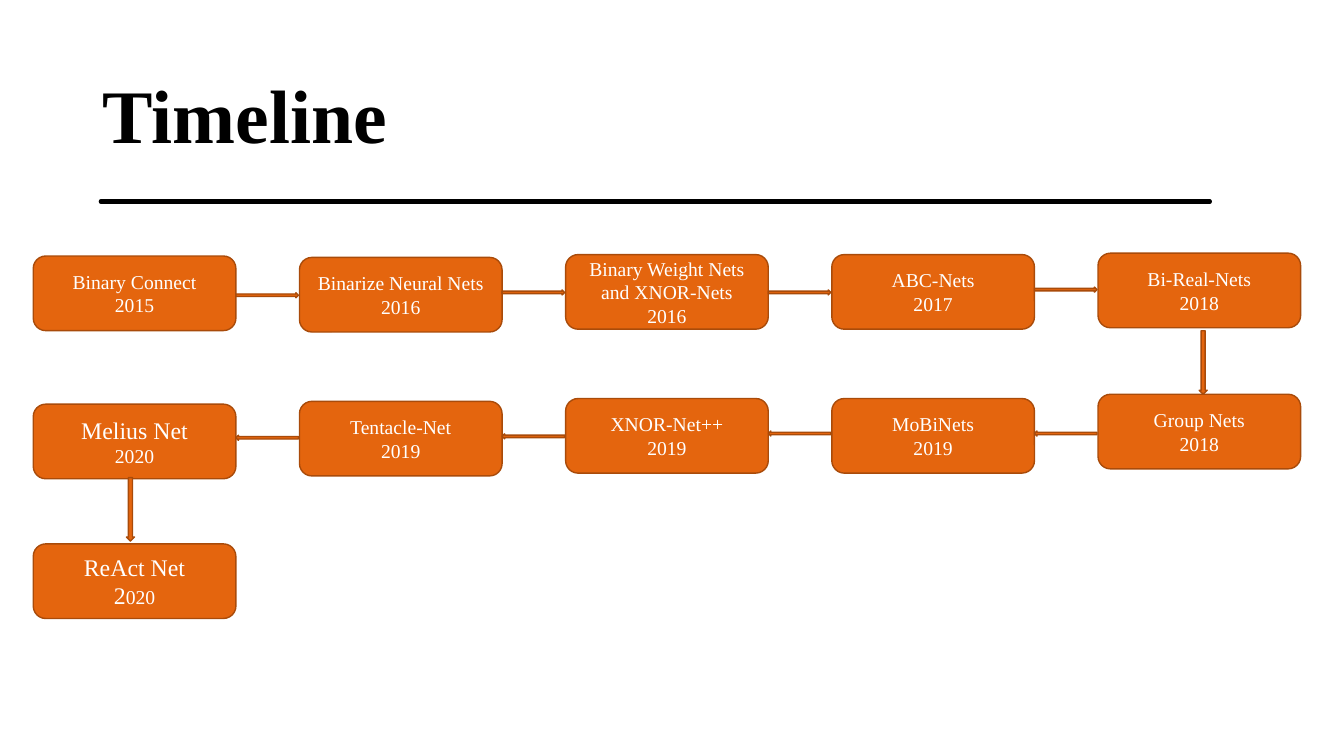
from dataclasses import dataclass

from pptx import Presentation
from pptx.dml.color import RGBColor
from pptx.enum.shapes import MSO_SHAPE
from pptx.enum.text import MSO_ANCHOR, MSO_AUTO_SIZE, PP_ALIGN
from pptx.util import Inches, Pt


@dataclass(frozen=True)
class Theme:
    font: str = "Times New Roman"
    ink: RGBColor = RGBColor.from_string("000000")
    paper: RGBColor = RGBColor.from_string("FFFFFF")
    accent: RGBColor = RGBColor.from_string("E4650E")
    edge: RGBColor = RGBColor.from_string("A94B0A")
    title_size: int = 54
    large: int = 17
    normal: int = 14
    edge_width: float = 1
    rule_width: float = 3


COLUMN, ROW = 2.64, 1.4
LEFT, TOP = 0.33, 2.54
BOX_WIDTH, BOX_HEIGHT = 2.01 / COLUMN, 0.74 / ROW
ARROW_LENGTH, ARROW_THICKNESS = 0.62 / COLUMN, 0.05 / ROW
DROP_WIDTH, DROP_LENGTH = 0.08 / COLUMN, 0.63 / ROW


def assign(target, values):
    for name, value in values.items():
        setattr(target, name, value)


class TimelineSlide:
    def __init__(self, deck, theme):
        self.theme = theme
        self.slide = deck.slides.add_slide(deck.slide_layouts[5])

    def paint(self, shape, fill, edge, width):
        shape.shadow.inherit = False
        shape.fill.solid()
        shape.fill.fore_color.rgb = fill
        shape.line.color.rgb = edge
        shape.line.width = Pt(width)

    def letter(self, run, text, size, color, bold=False):
        run.text = text
        assign(run.font, {"name": self.theme.font, "size": Pt(size), "bold": bold})
        run.font.color.rgb = color

    def title(self, text):
        heading = self.slide.shapes.title
        assign(heading, {"left": Inches(0.92), "top": Inches(0.4),
                         "width": Inches(11.5), "height": Inches(1.45)})
        assign(heading.text_frame, {"word_wrap": True, "auto_size": MSO_AUTO_SIZE.NONE,
                                    "vertical_anchor": MSO_ANCHOR.MIDDLE})
        paragraph = heading.text_frame.paragraphs[0]
        paragraph.alignment = PP_ALIGN.LEFT
        self.letter(paragraph.add_run(), text, self.theme.title_size, self.theme.ink, True)

    def rule(self, outline, gap):
        builder = self.slide.shapes.build_freeform(*outline[0], scale=Inches(1))
        builder.add_line_segments(outline[1:], close=True)
        builder.move_to(*gap[0])
        builder.add_line_segments(gap[1:], close=True)
        stroke = builder.convert_to_shape()
        self.paint(stroke, self.theme.ink, self.theme.ink, self.theme.rule_width)

    def block(self, kind, column, row, columns, rows):
        shape = self.slide.shapes.add_shape(
            kind, Inches(LEFT + column * COLUMN), Inches(TOP + row * ROW),
            Inches(columns * COLUMN), Inches(rows * ROW))
        self.paint(shape, self.theme.accent, self.theme.edge, self.theme.edge_width)
        return shape

    def milestone(self, column, row, lines):
        box = self.block(MSO_SHAPE.ROUNDED_RECTANGLE, column, row, BOX_WIDTH, BOX_HEIGHT)
        frame = box.text_frame
        assign(frame, {"word_wrap": True, "vertical_anchor": MSO_ANCHOR.MIDDLE})
        for index, runs in enumerate(lines):
            paragraph = frame.add_paragraph() if index else frame.paragraphs[0]
            paragraph.alignment = PP_ALIGN.CENTER
            for text, size in runs:
                self.letter(paragraph.add_run(), text, size, self.theme.paper)

    def step(self, kind, column, row):
        self.block(kind, column + BOX_WIDTH, row, ARROW_LENGTH, ARROW_THICKNESS)

    def drop(self, column, row):
        self.block(MSO_SHAPE.DOWN_ARROW, column, row, DROP_WIDTH, DROP_LENGTH)


def main():
    theme = Theme()
    deck = Presentation()
    assign(deck, {"slide_width": Inches(13.33), "slide_height": Inches(7.5)})
    timeline = TimelineSlide(deck, theme)

    upper_edge = [(0.92, 1.87), (1.2, 1.86), (1.6, 1.87), (2.1, 1.87), (2.5, 1.87),
                  (3.4, 1.87), (4.05, 1.86), (4.6, 1.87), (5.4, 1.87), (5.8, 1.87),
                  (6.5, 1.86), (7.2, 1.87), (7.7, 1.85), (8.1, 1.87), (8.7, 1.87),
                  (9.4, 1.86), (9.9, 1.85), (10.2, 1.86), (10.6, 1.87), (11.7, 1.87),
                  (12.42, 1.87)]
    lower_edge = [(12.42, 1.9), (11.9, 1.9), (11.2, 1.9), (10.7, 1.89), (10.2, 1.91),
                  (9.95, 1.91), (9.4, 1.89), (8.8, 1.91), (8.2, 1.9), (7.7, 1.91),
                  (7.1, 1.9), (6.5, 1.89), (5.9, 1.9), (5.3, 1.9), (4.7, 1.91),
                  (4.1, 1.9), (3.4, 1.9), (2.9, 1.9), (2.3, 1.91), (1.8, 1.9), (0.92, 1.9)]
    strand_gap = [(7.45, 1.88), (7.7, 1.85), (8, 1.87), (7.75, 1.91)]
    timeline.rule(upper_edge + lower_edge, strand_gap)
    timeline.title("Timeline")

    milestones = [
        (0, 0, "Binary Connect", "2015"),
        (1, 0.01, "Binarize Neural Nets", "2016"),
        (2, -0.01, "Binary Weight Nets and XNOR-Nets", "2016"),
        (3, -0.01, "ABC-Nets", "2017"),
        (4, -0.02, "Bi-Real-Nets", "2018"),
        (4, 0.98, "Group Nets", "2018"),
        (3, 1.01, "MoBiNets", "2019"),
        (2, 1.01, "XNOR-Net++", "2019"),
        (1, 1.03, "Tentacle-Net", "2019"),
    ]
    for column, row, network, year in milestones:
        timeline.milestone(column, row, [[(network, theme.normal)], [(year, theme.normal)]])
    timeline.milestone(0, 1.05, [[("Melius Net", theme.large)], [("2020", theme.normal)]])
    timeline.milestone(0, 2.04, [[("ReAct Net", theme.large)],
                                 [("2", theme.large), ("020", theme.normal)]])

    forward_rows = [0.26, 0.24, 0.24, 0.22]
    return_rows = [1.27, 1.26, 1.24, 1.24]
    for column, (forward_row, return_row) in enumerate(zip(forward_rows, return_rows)):
        timeline.step(MSO_SHAPE.RIGHT_ARROW, column, forward_row)
        timeline.step(MSO_SHAPE.LEFT_ARROW, column, return_row)
    timeline.drop(4.38, 0.53)
    timeline.drop(0.35, 1.57)

    deck.save("out.pptx")


if __name__ == "__main__":
    main()
